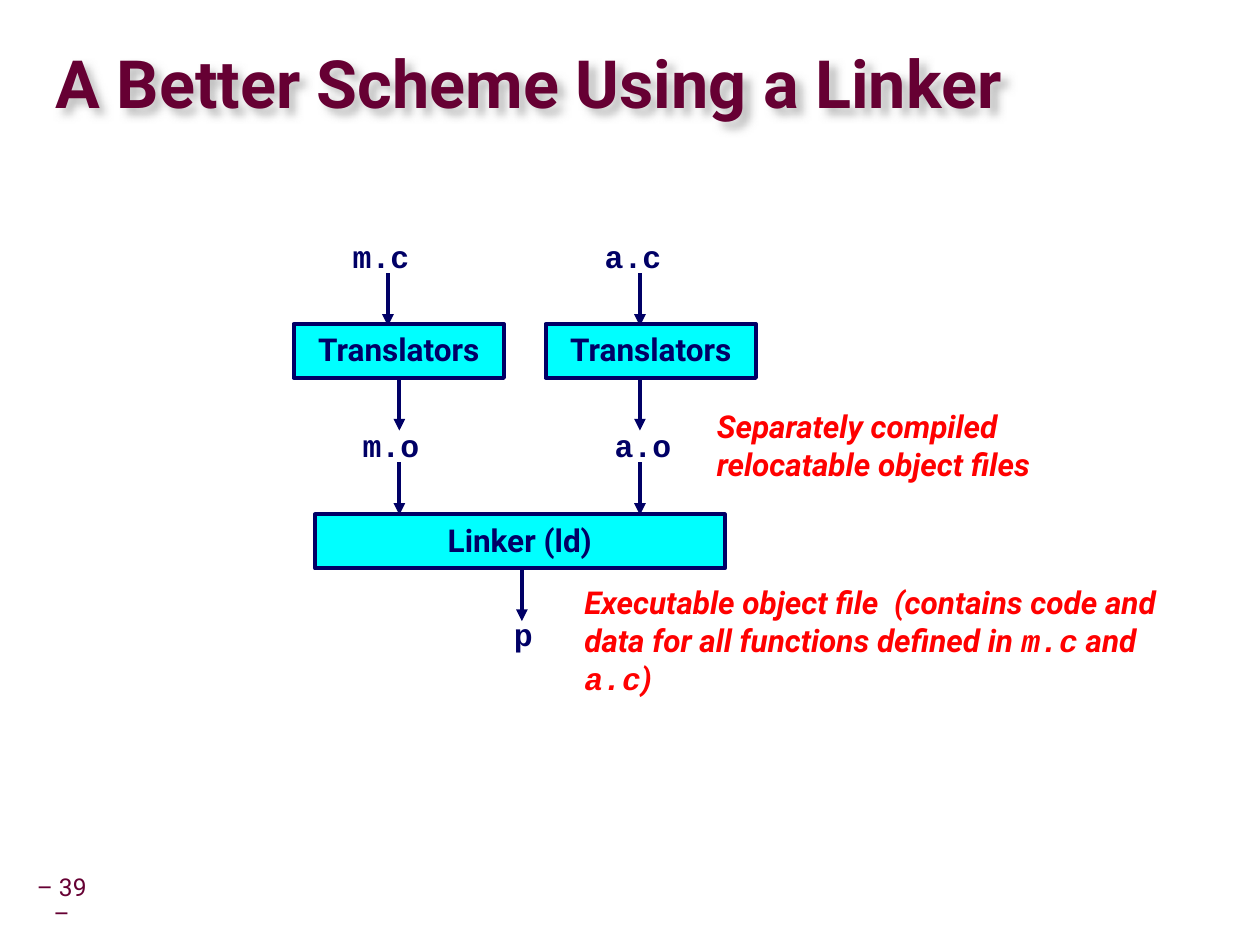
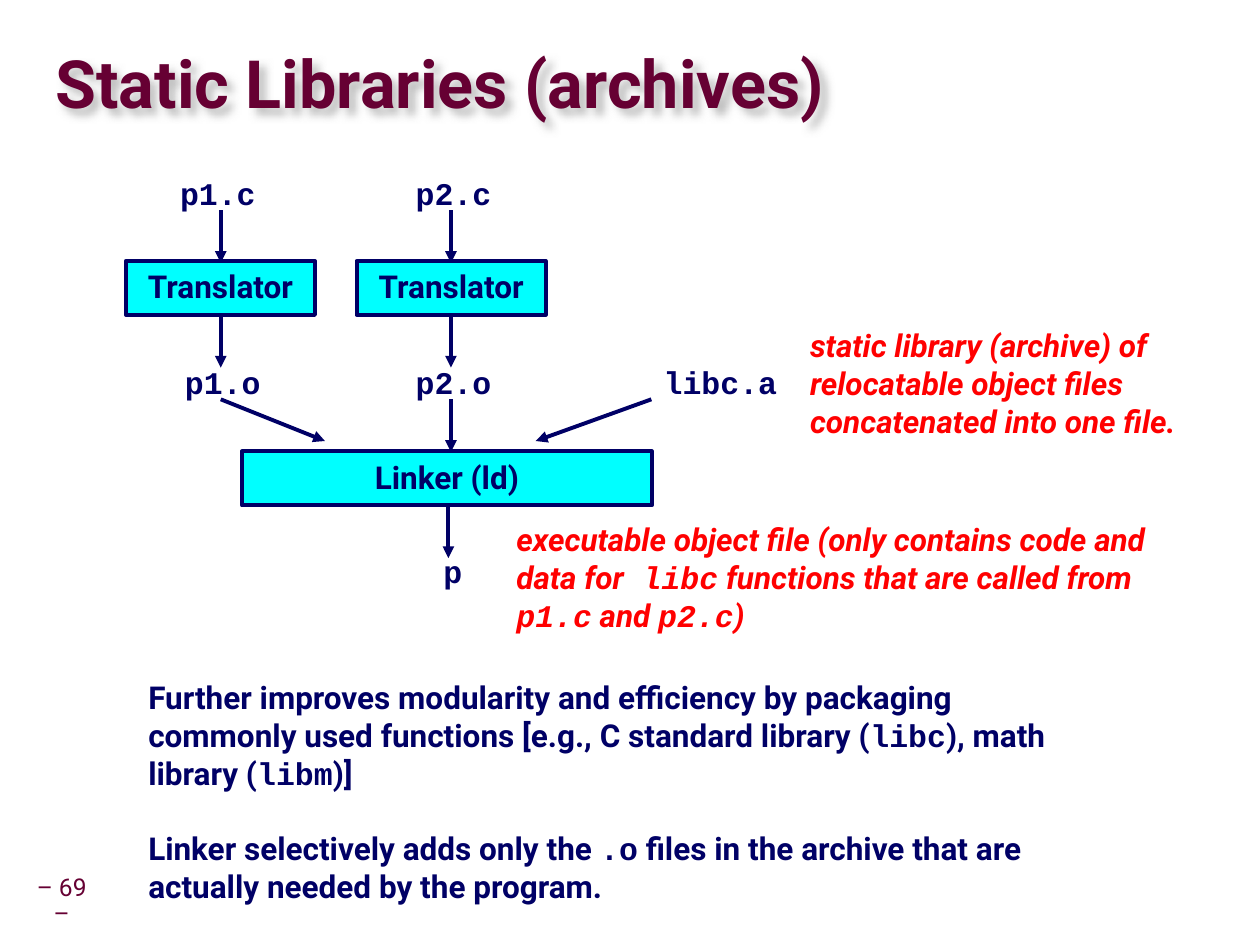
from lxml import etree
from pptx import Presentation
from pptx import util as u
from pptx.dml.color import RGBColor
from pptx.enum import shapes, text
from pptx.oxml import ns

HUES = {"wine": "660033", "navy": "000066", "cyan": "00FFFF", "red": "FF0000",
        "gray": "808080"}
SANS, MONO = "Roboto", "Courier New"

# Rows of the link diagram, in cm below its top
SOURCE, TOOL, OBJECT, LINK, RESULT = 0, 1.88, 3.81, 5.72, 7.62
ARROWS = {"source": 0.86, "tool": 2.97, "object": 4.67, "link": 6.81}
DROP, HIGH = 1.06, 1.09


def rgb(name):
    return RGBColor.from_string(HUES[name])


def node(parent, tag, **attrs):
    return etree.SubElement(parent, ns.qn(tag), attrs)


class Deck:
    def __init__(self):
        self.prs = Presentation()
        self.prs.slide_width, self.prs.slide_height = u.Cm(25.4), u.Cm(19.05)
        self.slide = None

    def page(self, title, number):
        """Start a slide with its title and page number."""
        self.slide = self.prs.slides.add_slide(self.prs.slide_layouts[5])
        head = self.slide.shapes.title
        head.left, head.top = u.Cm(1.12), u.Cm(0.69)
        head.width, head.height = u.Cm(24.2), u.Cm(2.16)
        frame = self.frame(head, 0, 0, text.MSO_ANCHOR.MIDDLE)
        para = frame.paragraphs[0]
        para.alignment, para.line_spacing = text.PP_ALIGN.LEFT, 0.87
        self.run(para, title, "wine", 38)
        self.shade(head)

        foot = self.slide.shapes.add_textbox(
            u.Cm(0.61), u.Cm(17.78), u.Cm(1.27), u.Cm(0.79))
        para = self.frame(foot, 0.13, 0.13, text.MSO_ANCHOR.MIDDLE).paragraphs[0]
        para.alignment, para.line_spacing = text.PP_ALIGN.CENTER, 0.9
        self.run(para, f"– {number} –", "wine", 14, bold=False)

    def frame(self, shape, side=0.25, edge=0.13, anchor=text.MSO_ANCHOR.TOP):
        frame = shape.text_frame
        frame.word_wrap = True
        frame.auto_size = text.MSO_AUTO_SIZE.NONE
        frame.vertical_anchor = anchor
        frame.margin_left = frame.margin_right = u.Cm(side)
        frame.margin_top = frame.margin_bottom = u.Cm(edge)
        return frame

    def run(self, para, words, hue, size=18, font=SANS, bold=True, slant=False):
        run = para.add_run()
        run.text = words
        face = run.font
        face.name, face.size = font, u.Pt(size)
        face.bold, face.italic = bold, slant
        face.color.rgb = rgb(hue)

    def shade(self, shape):
        """Soft shadow behind the title letters."""
        effect = node(shape.element.spPr, "a:effectLst")
        cast = node(effect, "a:outerShdw", blurRad="63500", dist="54000",
                    dir="2700000", algn="ctr", rotWithShape="0")
        tint = node(cast, "a:srgbClr", val=HUES["gray"])
        node(tint, "a:alpha", val="50000")

    def note(self, x, y, wide, high, *paras, hue="red", slant=True):
        """Text block; the pieces of a paragraph alternate sans and mono."""
        box = self.slide.shapes.add_textbox(
            u.Cm(x), u.Cm(y), u.Cm(wide), u.Cm(high))
        frame = self.frame(box)
        for i, parts in enumerate(paras):
            para = frame.add_paragraph() if i else frame.paragraphs[0]
            if i:
                para.space_before = u.Pt(21.5)
            for j, part in enumerate(parts):
                self.run(para, part, hue, font=MONO if j % 2 else SANS,
                         slant=slant)

    def label(self, x, y, name):
        """File name, in a box as wide as its letters."""
        box = self.slide.shapes.add_textbox(
            u.Cm(x), u.Cm(y), u.Cm(0.5 + 0.38 * len(name)), u.Cm(1.02))
        frame = self.frame(box)
        frame.word_wrap = False
        self.run(frame.paragraphs[0], name, "navy", font=MONO)

    def box(self, x, y, wide, words):
        box = self.slide.shapes.add_shape(
            shapes.MSO_SHAPE.RECTANGLE, u.Cm(x), u.Cm(y), u.Cm(wide), u.Cm(HIGH))
        box.shadow.inherit = False
        box.fill.solid()
        box.fill.fore_color.rgb = rgb("cyan")
        box.line.color.rgb = rgb("navy")
        box.line.width = u.Pt(2.25)
        para = self.frame(box).paragraphs[0]
        para.alignment = text.PP_ALIGN.CENTER
        self.run(para, words, "navy")

    def arrow(self, x, y, to_x=None, drop=DROP):
        """Arrow that falls straight down unless to_x is given."""
        end = x if to_x is None else to_x
        line = self.slide.shapes.add_connector(
            shapes.MSO_CONNECTOR.STRAIGHT,
            u.Cm(x), u.Cm(y), u.Cm(end), u.Cm(y + drop))
        line.line.color.rgb = rgb("navy")
        line.line.width = u.Pt(2.25)
        props = line.element.spPr
        node(props.find(ns.qn("a:ln")), "a:tailEnd", type="triangle")
        node(props, "a:effectLst")

    def column(self, top, name, tool, wide, box_x, src_x, in_x, obj_x, out_x):
        """Source file, translator and object file, one above the other."""
        self.arrow(in_x, top + ARROWS["source"])
        self.arrow(out_x, top + ARROWS["tool"])
        self.box(box_x, top + TOOL, wide, tool)
        self.label(src_x, top + SOURCE, f"{name}.c")
        self.label(obj_x, top + OBJECT, f"{name}.o")

    def linker(self, top, box_x, out_x, res_x):
        """Linker box and the program it makes."""
        self.box(box_x, top + LINK, 8.26, "Linker (ld)")
        self.arrow(out_x, top + ARROWS["link"])
        self.label(res_x, top + RESULT, "p")


def scheme(deck):
    deck.page("A Better Scheme Using a Linker", 39)
    top = 4.65
    for name, *spots in (("m", 5.92, 6.86, 7.82, 7.06, 8.05),
                         ("a", 11, 11.94, 12.9, 12.14, 12.9)):
        deck.column(top, name, "Translators", 4.24, *spots)
        deck.arrow(spots[-1], top + ARROWS["object"])
    deck.linker(top, 6.35, 10.52, 10.11)

    # Remarks
    deck.note(14.2, 8.08, 8.28, 1.78,
              ["Separately compiled relocatable object files"])
    deck.note(11.53, 11.63, 12.62, 2.54,
              ["Executable object file  (contains code and data for all "
               "functions defined in ", "m.c", " and ", "a.c", ")"])


def library(deck):
    deck.page("Static Libraries (archives)", 69)
    top = 3.38
    for name, *spots in (("p1", 2.54, 3.38, 4.45, 3.48, 4.45),
                         ("p2", 7.19, 8.13, 9.09, 8.13, 9.09)):
        deck.column(top, name, "Translator", 3.81, *spots)

    # Object files and the archive meet in the linker
    deck.label(13.13, top + OBJECT, "libc.a")
    joint = top + ARROWS["object"]
    deck.arrow(4.45, joint, 6.55, 0.84)
    deck.arrow(9.09, joint)
    deck.arrow(13.13, joint, 10.8, 0.84)
    deck.linker(top, 4.88, 9.04, 8.69)

    # Remarks
    deck.note(16.08, 6.45, 8.89, 2.54,
              ["static library (archive) of relocatable object files "
               "concatenated into one file."])
    deck.note(10.16, 10.36, 13.54, 2.54,
              ["executable object file (only contains code and data for",
               " libc", " functions that are called from ", "p1.c", " and ",
               "p2.c", ")"])

    # Summary
    deck.note(2.74, 13.54, 19.05, 4.83,
              ["Further improves modularity and efficiency by packaging "
               "commonly used functions [e.g., C standard library (", "libc",
               "), math library (", "libm", ")]"],
              ["Linker selectively adds only the ", ".o",
               " files in the archive that are actually needed by the program."],
              hue="navy", slant=False)


def main():
    deck = Deck()
    scheme(deck)
    library(deck)
    deck.prs.save("out.pptx")


if __name__ == "__main__":
    main()
